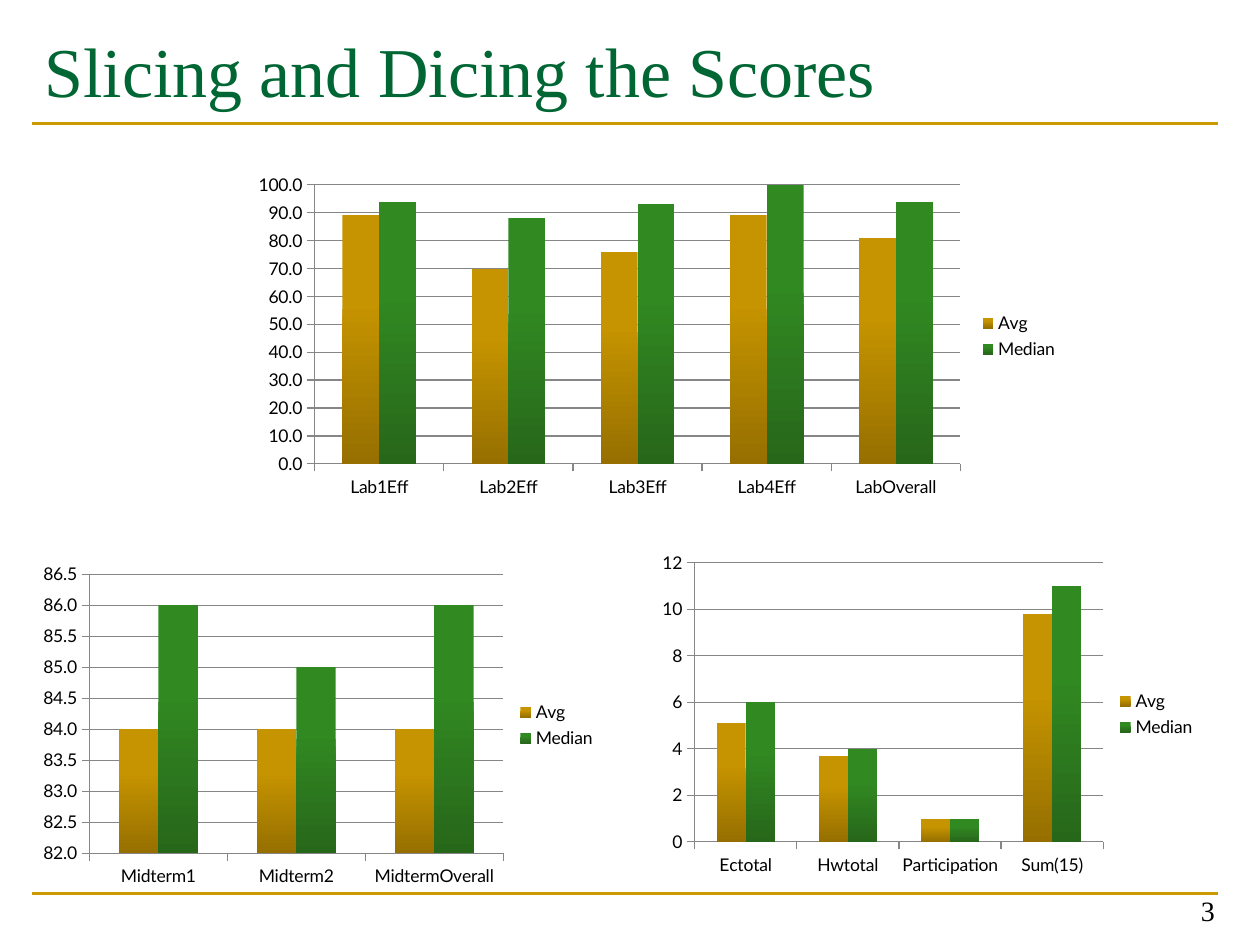
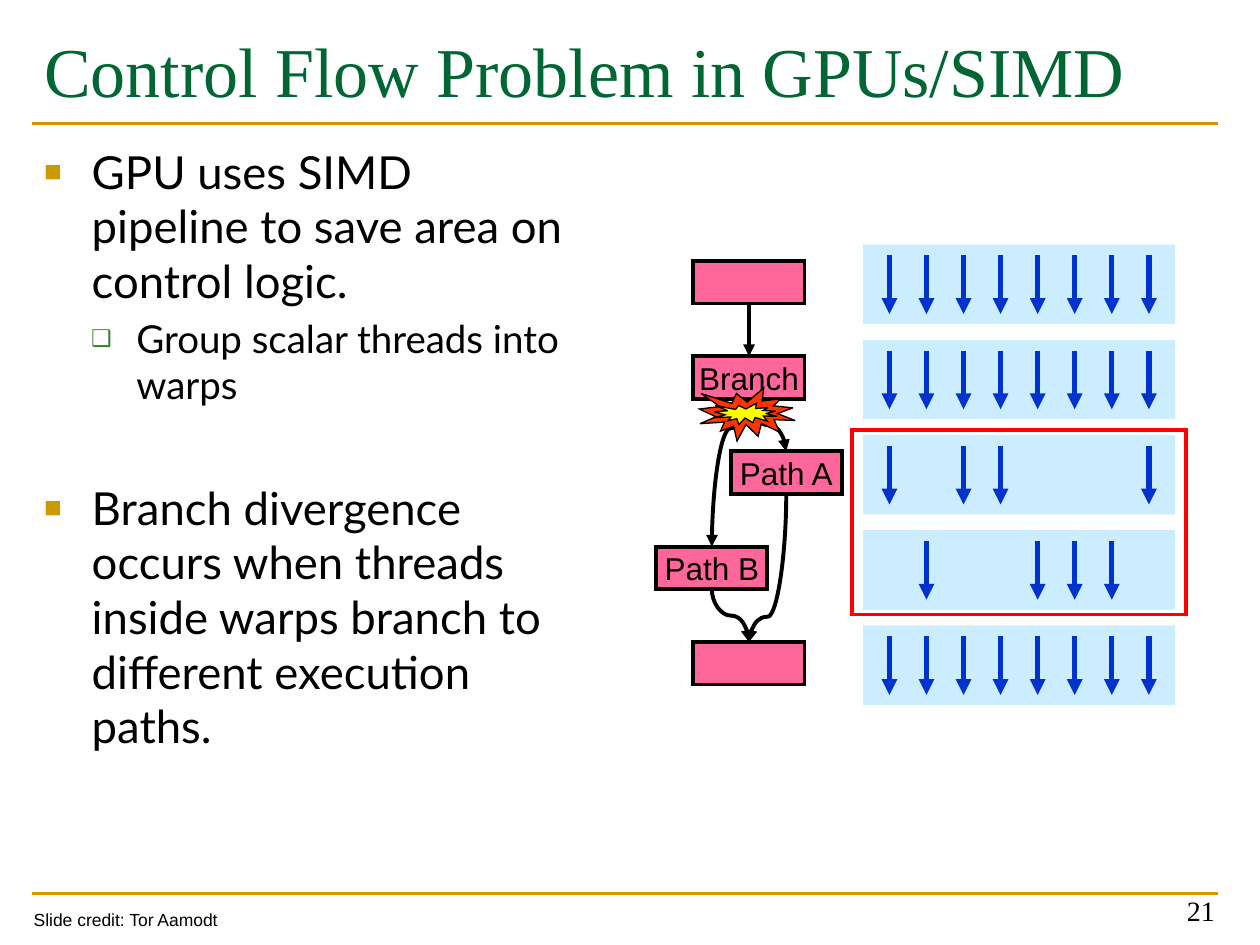
from dataclasses import dataclass

from lxml import etree
from pptx import Presentation
from pptx.chart.data import CategoryChartData
from pptx.dml.color import RGBColor
from pptx.enum.chart import XL_CHART_TYPE as ChartType, XL_LEGEND_POSITION as LegendSide, XL_TICK_MARK as Tick
from pptx.enum.shapes import MSO_CONNECTOR as Connector, MSO_SHAPE as Preset
from pptx.enum.text import MSO_ANCHOR as Anchor, PP_ALIGN as Align
from pptx.oxml.ns import qn
from pptx.util import Cm, Pt


@dataclass(frozen=True)
class Theme:
    gold: str = "CC9900"
    green: str = "006633"
    leaf: str = "3B812F"
    black: str = "000000"
    grid: str = "868686"
    lane: str = "CCECFF"
    thread: str = "0033CC"
    block: str = "FF6699"
    alarm: str = "FF0000"
    blast: str = "FF3300"
    spark: str = "FFFF00"
    avg_bar: tuple = ("C69400", "966F00")
    median_bar: tuple = ("318922", "27671A")
    serif: str = "Times New Roman"
    sans: str = "Lato"
    plain: str = "Arial"
    title: int = 40
    body: int = 26
    detail: int = 22
    label: int = 18
    number: int = 16
    small: int = 10


THEME = Theme()
ROW_STEP = 1.92
THREAD_STEP = 5.23 / 7
BLOCK_WIDTH, BLOCK_HEIGHT, BLOCK_TOP = 2.24, 0.86, 5.26
TRUNK, PATH_A, PATH_B = 15.1, 15.85, 14.35


def rgb(color):
    return RGBColor.from_string(color)


def apply(target, **values):
    for name, value in values.items():
        setattr(target, name, value)


def style_font(font, name, size, color=THEME.black):
    apply(font, name=name, size=Pt(size))
    font.color.rgb = rgb(color)


def style_line(line, color, width):
    line.color.rgb = rgb(color)
    line.width = Pt(width)


def write(para, text, name, size, color=THEME.black):
    span = para.add_run()
    span.text = text
    style_font(span.font, name, size, color)


def add_text(page, place, text, name, size, anchor=Anchor.TOP, align=Align.LEFT, wrap=True):
    box = page.shapes.add_textbox(*map(Cm, place))
    apply(box.text_frame, word_wrap=wrap, vertical_anchor=anchor)
    para = box.text_frame.paragraphs[0]
    para.alignment = align
    write(para, text, name, size)


def finish_line(connector, color, width, arrow=False):
    style_line(connector.line, color, width)
    properties = connector.element.find(qn("p:spPr"))
    if arrow:
        etree.SubElement(properties.find(qn("a:ln")), qn("a:tailEnd"), type="triangle")
    etree.SubElement(properties, qn("a:effectLst"))


def add_line(shapes, start, end, color, width, arrow=False):
    connector = shapes.add_connector(Connector.STRAIGHT, *map(Cm, (*start, *end)))
    finish_line(connector, color, width, arrow)


def add_curve(shapes, start, end, bend):
    (x1, y1), (x2, y2) = start, end
    length, spread = y2 - y1, abs(x2 - x1)
    left, top = (x1 + x2 - length) / 2, (y1 + y2 - spread) / 2
    connector = shapes.add_connector(
        Connector.CURVE, *map(Cm, (left, top, left + length, top + spread)))
    frame = connector.element.find(".//" + qn("a:xfrm"))
    if x2 < x1:
        frame.set("rot", "5400000")
    else:
        frame.set("rot", "16200000")
        frame.set("flipH", "1")
    guides = connector.element.find(".//" + qn("a:avLst"))
    etree.SubElement(guides, qn("a:gd"), name="adj1", fmla=f"val {round(bend * 100000)}")
    finish_line(connector, THEME.black, 2.25, arrow=True)


def add_shape(shapes, preset, place, fill=None, line=None, width=2.25):
    shape = shapes.add_shape(preset, *map(Cm, place))
    shape.shadow.inherit = False
    if fill:
        shape.fill.solid()
        shape.fill.fore_color.rgb = rgb(fill)
    else:
        shape.fill.background()
    if line:
        style_line(shape.line, line, width)
        etree.SubElement(shape.element.find(".//" + qn("a:ln")), qn("a:miter"), lim="800000")
    else:
        shape.line.fill.background()
    return shape


def add_page(deck, title, number):
    page = deck.slides.add_slide(deck.slide_layouts[5])
    for height in (18.01, 2.49):
        add_line(page.shapes, (0.64, height), (24.56, height), THEME.gold, 1.5)
    heading = page.shapes.title
    apply(heading, left=Cm(0.64), top=Cm(0.43), width=Cm(23.93), height=Cm(2.97))
    apply(heading.text_frame, vertical_anchor=Anchor.TOP, margin_top=Cm(0.13), word_wrap=True)
    para = heading.text_frame.paragraphs[0]
    para.alignment = Align.LEFT
    write(para, title, THEME.serif, THEME.title, THEME.green)
    add_text(page, (18.82, 17.55, 5.92, 1.27), number, THEME.serif, THEME.number,
             Anchor.BOTTOM, Align.RIGHT)
    return page


def add_score_chart(page, place, names, averages, medians, scale, number_format):
    data = CategoryChartData()
    data.categories = names
    data.add_series("Avg", averages)
    data.add_series("Median", medians)
    chart = page.shapes.add_chart(ChartType.COLUMN_CLUSTERED, *map(Cm, place), data).chart
    style_font(chart.font, THEME.sans, THEME.small)
    apply(chart, has_title=False, has_legend=True)
    apply(chart.legend, position=LegendSide.RIGHT, include_in_layout=False)
    plot = chart.plots[0]
    apply(plot, gap_width=150, overlap=0, vary_by_categories=False)
    for series, shades in zip(plot.series, (THEME.avg_bar, THEME.median_bar)):
        fill = series.format.fill
        fill.gradient()
        fill.gradient_angle = 270
        for stop, shade, position in zip(fill.gradient_stops, shades, (0.35, 1)):
            stop.color.rgb = rgb(shade)
            stop.position = position
    low, high, step = scale
    values = chart.value_axis
    apply(values, minimum_scale=low, maximum_scale=high, major_unit=step, has_major_gridlines=True)
    apply(values.tick_labels, number_format=number_format, number_format_is_linked=False)
    style_line(values.major_gridlines.format.line, THEME.grid, 0.75)
    for axis in (values, chart.category_axis):
        apply(axis, major_tick_mark=Tick.OUTSIDE, minor_tick_mark=Tick.NONE)
        style_line(axis.format.line, THEME.grid, 0.75)


def add_bullet(para, text, size, level, before, margin, hang, mark, color, percent):
    apply(para, level=level, space_before=Pt(before))
    write(para, text, THEME.sans, size)
    properties = para._p.get_or_add_pPr()
    properties.set("marL", str(Cm(margin)))
    properties.set("indent", str(-Cm(hang)))
    paint = etree.SubElement(properties, qn("a:buClr"))
    etree.SubElement(paint, qn("a:srgbClr"), val=color)
    etree.SubElement(properties, qn("a:buSzPct"), val=str(percent * 1000))
    etree.SubElement(properties, qn("a:buFont"), typeface=THEME.plain)
    etree.SubElement(properties, qn("a:buChar"), char=mark)


def add_body(page):
    frame = page.shapes.add_textbox(Cm(0.64), Cm(2.77), Cm(11), Cm(14.43)).text_frame
    frame.word_wrap = True
    main_style = (0.96, 0.96, "\u25a0", THEME.gold, 65)
    detail_style = (1.86, 0.91, "\u2751", THEME.leaf, 60)
    bullets = [
        ("GPU uses SIMD pipeline to save area on control logic.", THEME.body, 0, 0, *main_style),
        ("Group scalar threads into warps", THEME.detail, 1, 4.4, *detail_style),
        ("Branch divergence occurs when threads inside warps branch to different "
         "execution paths.", THEME.body, 0, 41.5, *main_style),
    ]
    for index, bullet in enumerate(bullets):
        para = frame.add_paragraph() if index else frame.paragraphs[0]
        add_bullet(para, *bullet)


def add_lane(page, row, active):
    group = page.shapes.add_group_shape()
    top = 4.93 + ROW_STEP * row
    add_shape(group.shapes, Preset.RECTANGLE, (17.4, top, 6.29, 1.6), THEME.lane)
    for thread in active:
        x = 17.93 + THREAD_STEP * thread
        add_line(group.shapes, (x, top + 0.22), (x, top + 1.4), THEME.thread, 3, arrow=True)


def add_block(page, center, row, label):
    place = (center - BLOCK_WIDTH / 2, block_top(row), BLOCK_WIDTH, BLOCK_HEIGHT)
    block = add_shape(page.shapes, Preset.RECTANGLE, place, THEME.block, THEME.black)
    if label:
        apply(block.text_frame, word_wrap=False, vertical_anchor=Anchor.MIDDLE)
        para = block.text_frame.paragraphs[0]
        para.alignment = Align.CENTER
        write(para, label, THEME.plain, THEME.label)


def block_top(row):
    return BLOCK_TOP + ROW_STEP * row


def block_bottom(row):
    return block_top(row) + BLOCK_HEIGHT


def add_flow(page):
    add_line(page.shapes, (TRUNK, block_bottom(0)), (TRUNK, block_top(1)),
             THEME.black, 2.25, arrow=True)
    curves = [
        (TRUNK, 1, PATH_B, 3, 0.2),
        (TRUNK, 1, PATH_A, 2, 0.5),
        (PATH_A, 2, TRUNK, 4, 0.83),
        (PATH_B, 3, TRUNK, 4, 0.5),
    ]
    for x1, from_row, x2, to_row, bend in curves:
        add_curve(page.shapes, (x1, block_bottom(from_row)), (x2, block_top(to_row)), bend)
    blocks = [(TRUNK, ""), (TRUNK, "Branch"), (PATH_A, "Path A"), (PATH_B, "Path B"), (TRUNK, "")]
    for row, (center, label) in enumerate(blocks):
        add_block(page, center, row, label)
    seals = [((14.1, 7.82, 1.93, 1.07), THEME.blast), ((14.4, 8.13, 1.27, 0.43), THEME.spark)]
    for place, fill in seals:
        add_shape(page.shapes, Preset.EXPLOSION1, place, fill, THEME.black, 0.75)


def build_scores(deck):
    page = add_page(deck, "Slicing and Dicing the Scores", "3")
    add_score_chart(page, (4.88, 3.38, 16.71, 6.78),
                    ["Lab1Eff", "Lab2Eff", "Lab3Eff", "Lab4Eff", "LabOverall"],
                    [89, 70, 76, 89, 81], [94, 88, 93, 100, 94],
                    (0, 100, 10), "#,##0.0")
    add_score_chart(page, (0.64, 11.23, 11.63, 6.78),
                    ["Midterm1", "Midterm2", "MidtermOverall"],
                    [84, 84, 84], [86, 85, 86], (82, 86.5, 0.5), "#,##0.0")
    add_score_chart(page, (13.13, 11, 11.23, 6.78),
                    ["Ectotal", "Hwtotal", "Participation", "Sum(15)"],
                    [5.1, 3.7, 1, 9.8], [6, 4, 1, 11], (0, 12, 2), "General")


def build_control_flow(deck):
    page = add_page(deck, "Control Flow Problem in GPUs/SIMD", "21")
    add_body(page)
    everyone = range(8)
    taken = (0, 2, 3, 7)
    skipped = [thread for thread in everyone if thread not in taken]
    for row, active in enumerate((everyone, everyone, taken, skipped, everyone)):
        add_lane(page, row, active)
    add_shape(page.shapes, Preset.RECTANGLE, (17.18, 8.66, 6.73, 3.73), line=THEME.alarm)
    add_flow(page)
    add_text(page, (0.43, 18.21, 4.29, 0.69), "Slide credit: Tor Aamodt",
             THEME.plain, THEME.small, wrap=False)


def main():
    deck = Presentation()
    apply(deck, slide_width=Cm(25.4), slide_height=Cm(19.05))
    build_scores(deck)
    build_control_flow(deck)
    deck.save("out.pptx")


main()
